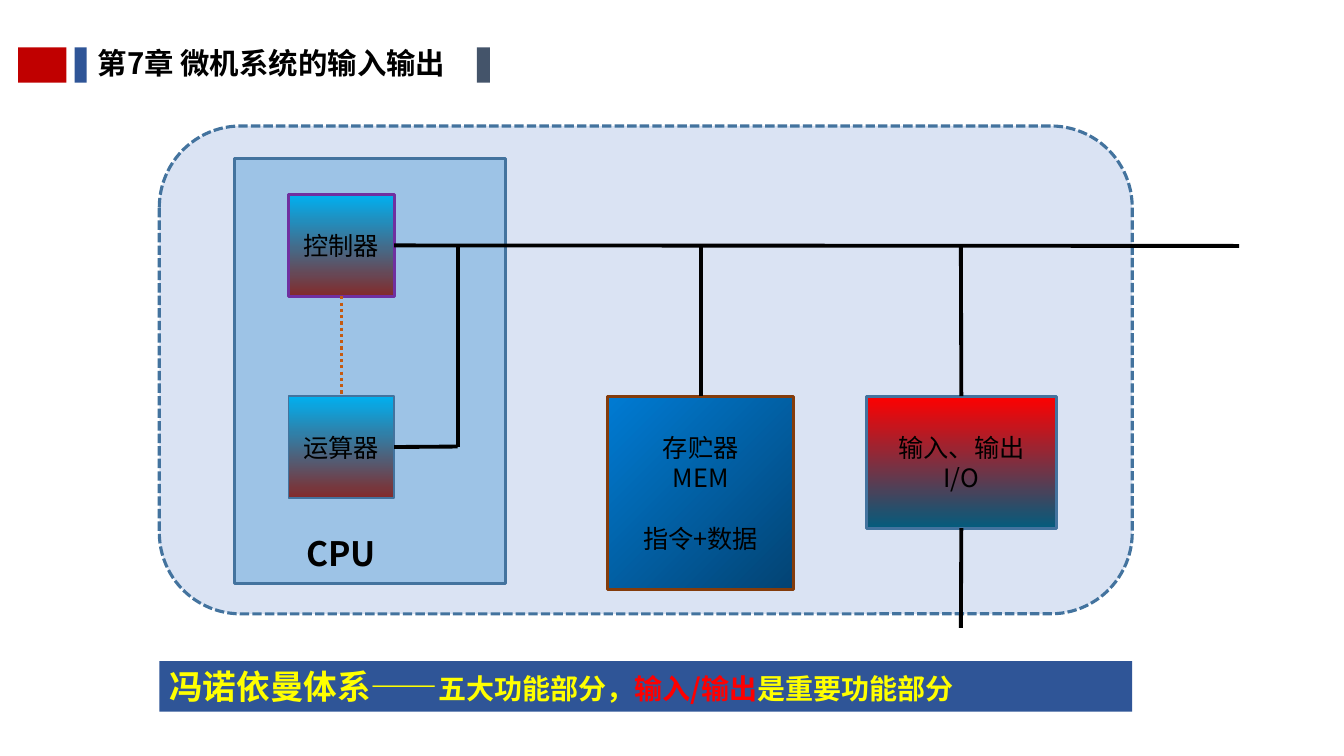
from lxml import etree
from pptx import Presentation
from pptx import util as u
from pptx.dml.color import RGBColor
from pptx.enum import dml, shapes, text
from pptx.oxml.ns import qn

FONT = "Noto Sans CJK SC"
BLACK, NAVY, EDGE = "000000", "2F5597", "43739E"
LINE_PITCH = 21.6


def rgb(hex_color):
    return RGBColor.from_string(hex_color)


def add_run(p, wording, size, color=BLACK, bold=False):
    r = p.add_run()
    r.text = wording
    r.font.name, r.font.size, r.font.bold = FONT, u.Pt(size), bold
    r.font.color.rgb = rgb(color)
    etree.SubElement(r.font._element, qn("a:ea")).set("typeface", FONT)


def set_frame(tf, inset=0.1, wrap=True):
    tf.word_wrap = wrap
    tf.auto_size = text.MSO_AUTO_SIZE.NONE
    tf.vertical_anchor = text.MSO_ANCHOR.MIDDLE
    tf.margin_left = tf.margin_right = u.Inches(inset)
    tf.margin_top = tf.margin_bottom = u.Inches(0.05)


def add_box(s, box, fill, line=None, width=2.25, angle=270,
            kind=shapes.MSO_SHAPE.RECTANGLE):
    """Fill is one hex colour, or a pair for a gradient."""
    sp = s.shapes.add_shape(kind, *map(u.Inches, box))
    sp.shadow.inherit = False
    if isinstance(fill, tuple):
        sp.fill.gradient()
        sp.fill.gradient_angle = angle
        for stop, color in zip(sp.fill.gradient_stops, fill):
            stop.color.rgb = rgb(color)
    else:
        sp.fill.solid()
        sp.fill.fore_color.rgb = rgb(fill)
    if line:
        sp.line.color.rgb = rgb(line)
        sp.line.width = u.Pt(width)
    else:
        sp.line.fill.background()
    return sp


def add_unit(s, box, lines, fill, line, width=2.25, angle=270, gap_before=None):
    sp = add_box(s, box, fill, line, width, angle)
    tf = sp.text_frame
    set_frame(tf, inset=0.05)
    for i, wording in enumerate(lines):
        p = tf.paragraphs[0] if i == 0 else tf.add_paragraph()
        p.alignment = text.PP_ALIGN.CENTER
        p.line_spacing = u.Pt(LINE_PITCH)
        if i == gap_before:
            p.space_before = u.Pt(LINE_PITCH)
        add_run(p, wording, 18)
    return sp


def add_line(s, start, end, color=BLACK, width=2.75, dash=None):
    """Each end is an (x, y) point or a (shape, side) pair."""
    points = [e if isinstance(e[0], (int, float)) else (0, 0) for e in (start, end)]
    cn = s.shapes.add_connector(shapes.MSO_CONNECTOR.STRAIGHT,
                                *[u.Inches(v) for pt in points for v in pt])
    if not isinstance(start[0], (int, float)):
        cn.begin_connect(*start)
    if not isinstance(end[0], (int, float)):
        cn.end_connect(*end)
    cn.line.color.rgb = rgb(color)
    cn.line.width = u.Pt(width)
    if dash:
        cn.line.dash_style = dash
    etree.SubElement(cn._element.spPr, qn("a:effectLst"))


def add_header(s, x, y, h):
    # Title
    title = s.shapes.title
    title.left, title.top, title.width, title.height = map(
        u.Inches, (x + 0.63, y, 4.18, h))
    set_frame(title.text_frame, inset=0.16, wrap=False)
    p = title.text_frame.paragraphs[0]
    p.alignment, p.line_spacing = text.PP_ALIGN.LEFT, 0.9
    add_run(p, "第7章 微机系统的输入输出", 21, bold=True)
    # Colour bars around the title
    for dx, w, color in ((0, 0.48, "C00000"), (0.56, 0.12, NAVY),
                         (4.55, 0.13, "44546A")):
        add_box(s, (x + dx, y, w, h), color)


def add_diagram(s, x, y, w, h):
    # Computer outline and CPU panel
    outline = add_box(s, (x, y, w, h), "DAE3F3", EDGE,
                      kind=shapes.MSO_SHAPE.ROUNDED_RECTANGLE)
    outline.line.dash_style = dml.MSO_LINE.SQUARE_DOT
    add_box(s, (x + 0.75, y + 0.32, 2.68, 4.22), "9DC3E6", EDGE)

    # Functional units
    cpu_x, cpu_w, row = x + 1.28, 1.05, y + 2.68
    core = ("00B0F0", "832B2B")
    control = add_unit(s, (cpu_x, y + 0.68, cpu_w, 1.01), ["控制器"], core, "7030A0")
    alu = add_unit(s, (cpu_x, row, cpu_w, 1.01), ["运算器"], core, EDGE, 1)
    memory = add_unit(s, (x + 4.45, row, 1.84, 1.92), ["存贮器", "MEM", "指令+数据"],
                      ("007BD3", "034373"), "843C0B", angle=315, gap_before=2)
    io_unit = add_unit(s, (x + 7.01, row, 1.89, 1.31), ["输入、输出", "I/O"],
                       ("FF0000", "035C7D"), EDGE)

    # Bus and its branches
    bus_y, alu_y, branch_x = y + 1.19, y + 3.18, x + 2.96
    add_line(s, (control, 3), (x + 10.71, bus_y))
    for unit, unit_x in ((memory, x + 5.37), (io_unit, x + 7.95)):
        add_line(s, (unit_x, bus_y), (unit, 0))
    add_line(s, (branch_x, bus_y), (branch_x, alu_y))
    add_line(s, (alu, 3), (branch_x, alu_y))
    add_line(s, (io_unit, 2), (x + 7.95, y + 4.98))
    add_line(s, (control, 2), (alu, 0), "C55A11", 2.25, dml.MSO_LINE.ROUND_DOT)

    # CPU label
    label = s.shapes.add_textbox(*map(u.Inches, (cpu_x, y + 3.99, cpu_w, 0.5)))
    set_frame(label.text_frame)
    p = label.text_frame.paragraphs[0]
    p.alignment = text.PP_ALIGN.CENTER
    add_run(p, "CPU", 24, bold=True)


def add_summary(s, x, y, w, h):
    bar = add_box(s, (x, y, w, h), NAVY)
    set_frame(bar.text_frame)
    p = bar.text_frame.paragraphs[0]
    p.alignment = text.PP_ALIGN.LEFT
    for wording, size, color in (("冯诺依曼体系——", 24, "FFFF00"),
                                 ("五大功能部分，", 20, "FFFF00"),
                                 ("输入/输出", 20, "FF0000"),
                                 ("是重要功能部分", 20, "FFFF00")):
        add_run(p, wording, size, color, bold=True)


def main():
    prs = Presentation()
    prs.slide_width, prs.slide_height = u.Inches(13.33), u.Inches(7.5)
    s = prs.slides.add_slide(prs.slide_layouts[5])
    add_header(s, 0.18, 0.47, 0.35)
    add_diagram(s, 1.58, 1.25, 9.65, 4.84)
    add_summary(s, 1.58, 6.56, 9.65, 0.5)
    prs.save("out.pptx")


if __name__ == "__main__":
    main()
